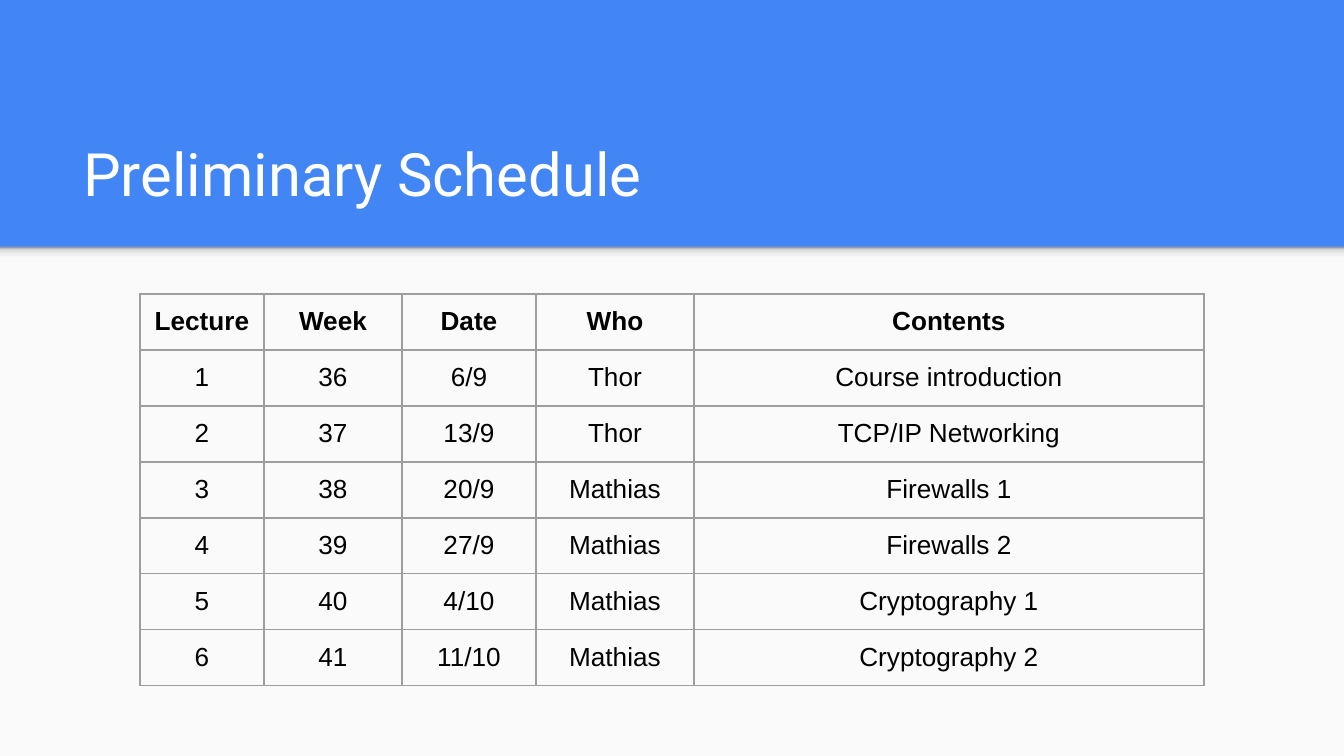
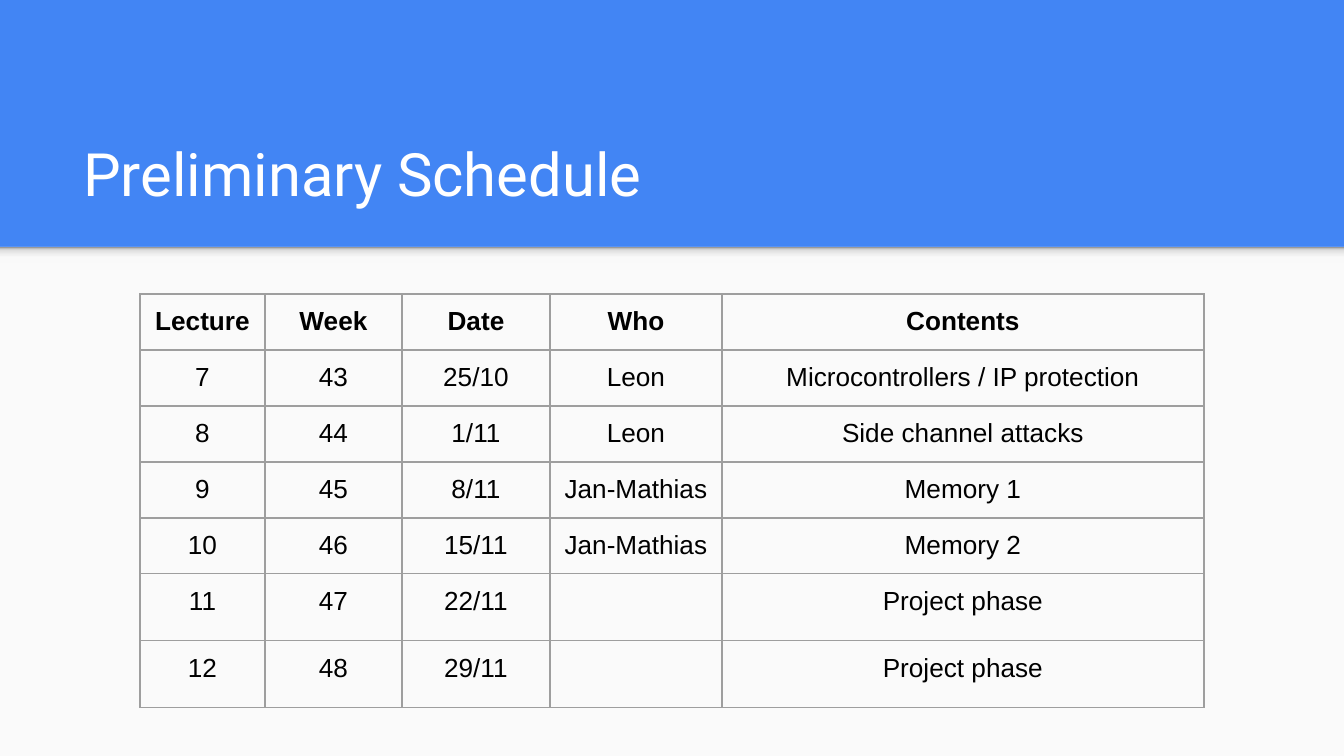
from dataclasses import dataclass

from lxml.etree import SubElement
from pptx import Presentation
from pptx.dml.color import RGBColor
from pptx.enum.shapes import MSO_SHAPE as Shape
from pptx.enum.text import MSO_ANCHOR as Anchor, MSO_AUTO_SIZE as AutoSize, PP_ALIGN as Align
from pptx.oxml import parse_xml
from pptx.oxml.ns import nsdecls, qn
from pptx.util import Emu, Pt

PX_PER_INCH = 134.4
SLIDE_WIDTH, SLIDE_HEIGHT = 1344, 756
BAND_HEIGHT = 247
TABLE_LEFT, TABLE_TOP, TABLE_WIDTH, ROW_HEIGHT = 140, 294, 1064, 56


@dataclass(frozen=True)
class Theme:
    blue: str = "4285F4"
    paper: str = "FAFAFA"
    white: str = "FFFFFF"
    black: str = "000000"
    grid: str = "9E9E9E"
    shadow_stops: tuple = ((0, "F9F9F9"), (36, "F9F9F9"), (80, "DEDEDE"), (100, "999999"))
    title_font: str = "Roboto"
    body_font: str = "Arial"
    title_size: int = 32
    body_size: int = 14
    grid_width: float = 0.75


THEME = Theme()

HEADINGS = ("Lecture", "Week", "Date", "Who", "Contents")

# Widths of every column but the last, which takes the rest of the table.
SCHEDULES = (
    ((124, 138, 134, 158), (
        ("1", "36", "6/9", "Thor", "Course introduction"),
        ("2", "37", "13/9", "Thor", "TCP/IP Networking"),
        ("3", "38", "20/9", "Mathias", "Firewalls 1"),
        ("4", "39", "27/9", "Mathias", "Firewalls 2"),
        ("5", "40", "4/10", "Mathias", "Cryptography 1"),
        ("6", "41", "11/10", "Mathias", "Cryptography 2"),
    )),
    ((125, 137, 148, 172), (
        ("7", "43", "25/10", "Leon", "Microcontrollers / IP protection"),
        ("8", "44", "1/11", "Leon", "Side channel attacks"),
        ("9", "45", "8/11", "Jan-Mathias", "Memory 1"),
        ("10", "46", "15/11", "Jan-Mathias", "Memory 2"),
        ("11", "47", "22/11", "", "Project phase"),
        ("12", "48", "29/11", "", "Project phase"),
    )),
)


def px(length):
    return Emu(round(length * 914400 / PX_PER_INCH))


def set_insets(target):
    """Give a text frame or a table cell the same margin on all sides."""
    target.margin_left = target.margin_right = px(13)
    target.margin_top = target.margin_bottom = px(13)


def write_text(text_frame, text, *, font, size, color, bold=False, align=Align.LEFT):
    paragraph = text_frame.paragraphs[0]
    paragraph.alignment = align
    run = paragraph.add_run()
    run.text = text
    run.font.name = font
    run.font.size = Pt(size)
    run.font.bold = bold
    run.font.color.rgb = RGBColor.from_string(color)


def add_rectangle(slide, top, height):
    """Add a full-width rectangle without outline or shadow."""
    shape = slide.shapes.add_shape(Shape.RECTANGLE, 0, px(top), px(SLIDE_WIDTH), px(height))
    shape.shadow.inherit = False
    shape.line.fill.background()
    return shape


def fill_upward_gradient(shape, stops):
    stop_list = "".join(
        f'<a:gs pos="{position * 1000}"><a:srgbClr val="{color}"/></a:gs>'
        for position, color in stops
    )
    gradient = parse_xml(
        f'<a:gradFill {nsdecls("a")} rotWithShape="1"><a:gsLst>{stop_list}</a:gsLst>'
        '<a:lin ang="16200000" scaled="0"/></a:gradFill>'
    )
    shape.element.spPr.find(qn("a:prstGeom")).addnext(gradient)


def add_page(slide):
    """Add the light page below the title band and the band's soft shadow."""
    page = add_rectangle(slide, BAND_HEIGHT, SLIDE_HEIGHT - BAND_HEIGHT)
    page.fill.solid()
    page.fill.fore_color.rgb = RGBColor.from_string(THEME.paper)
    fill_upward_gradient(add_rectangle(slide, BAND_HEIGHT, 16), THEME.shadow_stops)


def set_title(slide, text):
    title = slide.shapes.title
    title.left, title.top, title.width, title.height = map(px, (70, 109, 1208, 113))
    text_frame = title.text_frame
    text_frame.auto_size = AutoSize.NONE
    text_frame.word_wrap = True
    text_frame.vertical_anchor = Anchor.BOTTOM
    set_insets(text_frame)
    write_text(text_frame, text, font=THEME.title_font, size=THEME.title_size, color=THEME.white)


def set_borders(cell):
    properties = cell._tc.get_or_add_tcPr()
    for side in ("a:lnL", "a:lnR", "a:lnT", "a:lnB"):
        line = SubElement(properties, qn(side), w=str(Pt(THEME.grid_width)))
        fill = SubElement(line, qn("a:solidFill"))
        SubElement(fill, qn("a:srgbClr"), val=THEME.grid)


def add_schedule(slide, first_widths, lectures):
    rows = (HEADINGS, *lectures)
    widths = (*first_widths, TABLE_WIDTH - sum(first_widths))
    table = slide.shapes.add_table(
        len(rows), len(widths), px(TABLE_LEFT), px(TABLE_TOP),
        px(TABLE_WIDTH), px(ROW_HEIGHT * len(rows)),
    ).table
    table.first_row = table.horz_banding = False
    for column, width in zip(table.columns, widths):
        column.width = px(width)
    for row_index, values in enumerate(rows):
        table.rows[row_index].height = px(ROW_HEIGHT)
        for column_index, value in enumerate(values):
            cell = table.cell(row_index, column_index)
            set_borders(cell)
            cell.fill.background()
            set_insets(cell)
            if value:
                write_text(cell.text_frame, value, font=THEME.body_font, size=THEME.body_size,
                           color=THEME.black, bold=row_index == 0, align=Align.CENTER)


def main():
    presentation = Presentation()
    presentation.slide_width, presentation.slide_height = px(SLIDE_WIDTH), px(SLIDE_HEIGHT)
    background = presentation.slide_master.background.fill
    background.solid()
    background.fore_color.rgb = RGBColor.from_string(THEME.blue)
    title_only = presentation.slide_layouts.get_by_name("Title Only")
    for first_widths, lectures in SCHEDULES:
        slide = presentation.slides.add_slide(title_only)
        add_page(slide)
        set_title(slide, "Preliminary Schedule")
        add_schedule(slide, first_widths, lectures)
    presentation.save("out.pptx")


if __name__ == "__main__":
    main()
